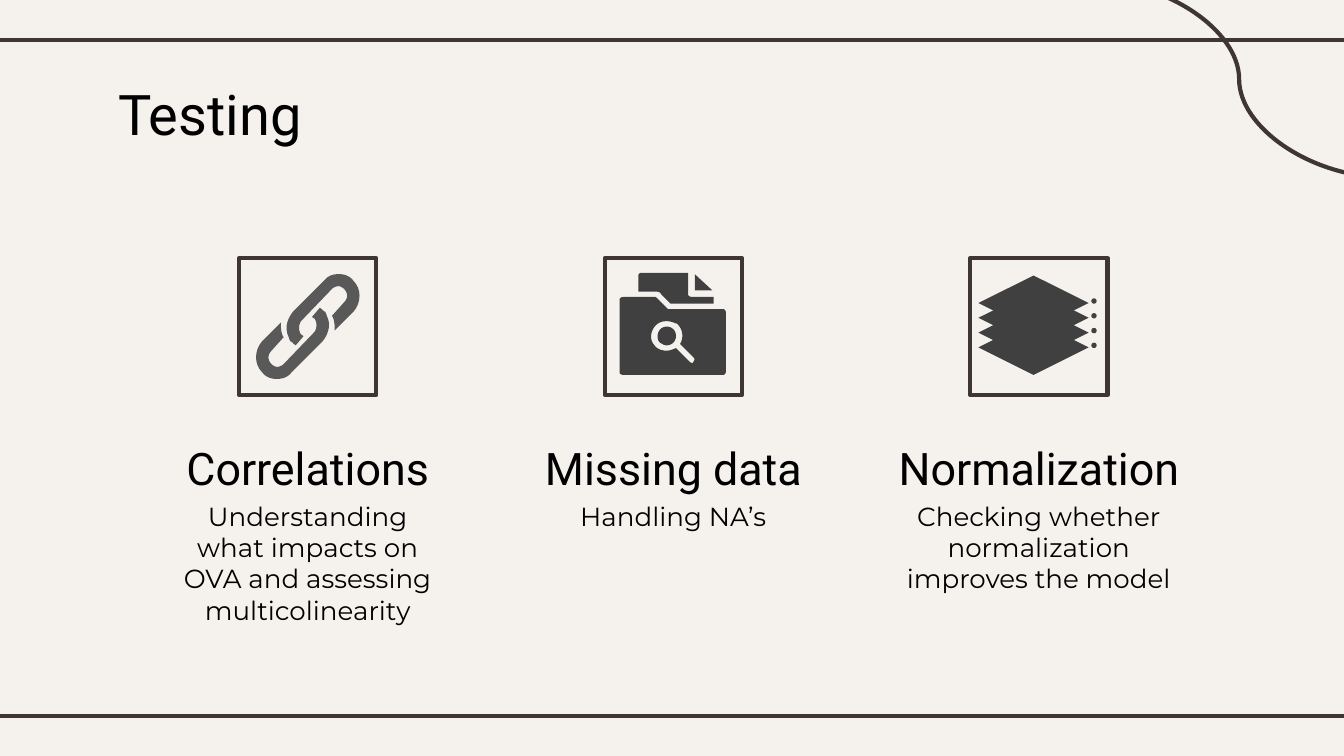
from lxml import etree
from pptx import Presentation
from pptx import util as u
from pptx.dml.color import RGBColor
from pptx.enum import shapes, text
from pptx.oxml import ns

PX = 9144  # EMU in one px, 100 px to the inch
CREAM = RGBColor(0xF5, 0xF2, 0xEE)
BROWN = RGBColor(0x3F, 0x35, 0x33)
BLACK = RGBColor(0x00, 0x00, 0x00)
GRAY = RGBColor(0x59, 0x59, 0x59)
DARK = RGBColor(0x40, 0x40, 0x40)
PAGE_W = 1000
TILE, TILE_TOP, FIRST_TILE, TILE_STEP = 102, 192, 178, 272
CURVE_STEPS = 8

# Outlines inside a tile: two numbers are a point, six are a cubic curve
HALF_LINK = [
    (74, 12), (70, 12, 66, 13, 63, 17), (40, 40), (36, 45, 34, 51, 36, 57),
    (37, 59, 37, 60, 38, 62), (39, 62, 39, 63, 40, 63), (40, 64, 41, 64, 42, 65),
    (48, 58), (47, 58, 47, 57, 46, 57), (44, 54, 44, 50, 46, 47), (69, 23),
    (70, 22, 72, 21, 74, 21), (75, 21, 77, 22, 78, 23), (81, 26, 81, 30, 78, 33),
    (69, 43), (71, 46, 71, 50, 71, 54), (85, 40), (91, 33, 91, 23, 85, 17),
    (82, 13, 78, 12, 74, 12)]
LENS = [
    (46, 51), (40, 51, 37, 59, 41, 63), (43, 64, 44, 65, 46, 65),
    (50, 65, 53, 62, 53, 58), (53, 54, 50, 51, 46, 51)]
MAGNIFIER = [
    (46, 47), (49, 47, 51, 48, 54, 49), (58, 53, 59, 59, 56, 64), (66, 74),
    (67, 75, 67, 76, 66, 77), (66, 78, 65, 78, 65, 78), (64, 78, 64, 78, 63, 77),
    (53, 67), (51, 68, 48, 69, 46, 69), (43, 69, 39, 68, 37, 65),
    (33, 61, 34, 54, 38, 50), (40, 48, 43, 47, 46, 47)]
FOLDER = [
    (14, 29), (12, 29, 11, 30, 11, 31), (11, 85), (11, 86, 12, 87, 14, 87),
    (88, 87), (89, 87, 90, 86, 90, 85), (90, 40), (90, 39, 89, 38, 88, 38),
    (47, 38), (39, 30), (38, 29, 38, 29, 37, 29)]
PAPER = [
    (28, 11), (26, 11, 25, 12, 25, 13), (25, 25), (37, 25),
    (39, 25, 41, 25, 42, 27), (49, 34), (81, 34), (81, 29), (65, 29),
    (63, 29, 62, 28, 62, 27), (62, 11)]
PAPER_CORNER = [(67, 12), (67, 24), (80, 24)]


def px(*lengths):
    return [u.Emu(round(length * PX)) for length in lengths]


def paint(shape, fill, line=None):
    shape.shadow.inherit = False
    shape.fill.solid()
    shape.fill.fore_color.rgb = fill
    if line is None:
        shape.line.fill.background()
    else:
        shape.line.color.rgb = line
        shape.line.width = u.Pt(2.25)


def flatten(outline):
    """Turn an outline into points, sampling its curves."""
    points = []
    for part in outline:
        if len(part) == 2:
            points.append(part)
            continue
        start = points[-1]
        controls = [start, part[:2], part[2:4], part[4:]]
        for step in range(1, CURVE_STEPS + 1):
            t = step / CURVE_STEPS
            weights = ((1 - t) ** 3, 3 * t * (1 - t) ** 2, 3 * t * t * (1 - t), t ** 3)
            points.append(tuple(
                sum(w * c[axis] for w, c in zip(weights, controls)) for axis in (0, 1)))
    return points


def add_outline(group, left, top, contours, color):
    builder = None
    for contour in contours:
        points = [px(left + x, top + y) for x, y in contour]
        if builder is None:
            builder = group.shapes.build_freeform(*points[0])
        else:
            builder.move_to(*points[0])
        builder.add_line_segments(points[1:], close=True)
    paint(builder.convert_to_shape(), color)


def add_line(page, kind, *ends):
    line = page.shapes.add_connector(kind, *px(*ends))
    line.line.color.rgb = BROWN
    line.line.width = u.Pt(2.25)
    etree.SubElement(line._element.spPr, ns.qn("a:effectLst"))


def write(box, words, font, size, align):
    frame = box.text_frame
    frame.text = words
    frame.word_wrap = True
    frame.auto_size = text.MSO_AUTO_SIZE.NONE
    frame.vertical_anchor = text.MSO_ANCHOR.TOP
    frame.margin_left = frame.margin_right = px(10)[0]
    frame.margin_top = frame.margin_bottom = px(10)[0]
    para = frame.paragraphs[0]
    para.alignment = align
    span = para.runs[0]
    span.font.name = font
    span.font.size = u.Pt(size)
    span.font.color.rgb = BLACK


def draw_link(group, left, top):
    half = flatten(HALF_LINK)
    turned = [(TILE - x, TILE - y) for x, y in half]
    for contour in (turned, half):
        add_outline(group, left, top, [contour], GRAY)


def draw_folder(group, left, top):
    for outlines in ([LENS, MAGNIFIER, FOLDER], [PAPER_CORNER], [PAPER]):
        add_outline(group, left, top, [flatten(o) for o in outlines], DARK)


def draw_layers(group, left, top):
    for level in (3, 2, 1, 0):
        drop = top + 11 * level
        sheet = group.shapes.add_shape(
            shapes.MSO_SHAPE.DIAMOND, *px(left + 6, drop + 13, 82, 41))
        dot = group.shapes.add_shape(
            shapes.MSO_SHAPE.OVAL, *px(left + 90, drop + 30, 4, 4))
        paint(sheet, DARK)
        paint(dot, DARK)


def add_frame(page, width):
    """Rules above and below, and the curve in the corner."""
    for y in (30, 533):
        add_line(page, shapes.MSO_CONNECTOR.STRAIGHT, -8, y, width + 8, y)
    add_line(page, shapes.MSO_CONNECTOR.CURVE, width - 187, -14, width + 31, 132)


def add_title(page, words, *area):
    title = page.shapes.title
    title.left, title.top, title.width, title.height = px(*area)
    write(title, words, "Roboto", 30, text.PP_ALIGN.LEFT)


def add_column(page, left, top, heading, heading_width, detail, draw_icon):
    """Framed icon at left, top with a heading and detail centred below."""
    tile = page.shapes.add_shape(
        shapes.MSO_SHAPE.RECTANGLE, *px(left, top, TILE, TILE))
    paint(tile, CREAM, BROWN)
    draw_icon(page.shapes.add_group_shape(), left, top)

    center = left + TILE // 2
    for words, drop, width, height, font, size in (
            (heading, 126, heading_width, 54, "Roboto", 24),
            (detail, 170, 220, 63, "Montserrat", 14)):
        box = page.shapes.add_textbox(
            *px(center - width // 2, top + drop, width, height))
        write(box, words, font, size, text.PP_ALIGN.CENTER)


def main():
    deck = Presentation()
    deck.slide_width = px(PAGE_W)[0]
    deck.slide_height = u.Emu(deck.slide_width * 9 // 16)
    page = deck.slides.add_slide(deck.slide_layouts[5])
    page.background.fill.solid()
    page.background.fill.fore_color.rgb = CREAM

    add_frame(page, PAGE_W)
    add_title(page, "Testing", 78, 49, 603, 63)
    columns = (
        ("Correlations", 220,
         "Understanding what impacts on OVA and assessing multicolinearity", draw_link),
        ("Missing data", 220, "Handling NA’s", draw_folder),
        ("Normalization", 238,
         "Checking whether normalization improves the model", draw_layers))
    for index, column in enumerate(columns):
        add_column(page, FIRST_TILE + index * TILE_STEP, TILE_TOP, *column)
    deck.save("out.pptx")


if __name__ == "__main__":
    main()
